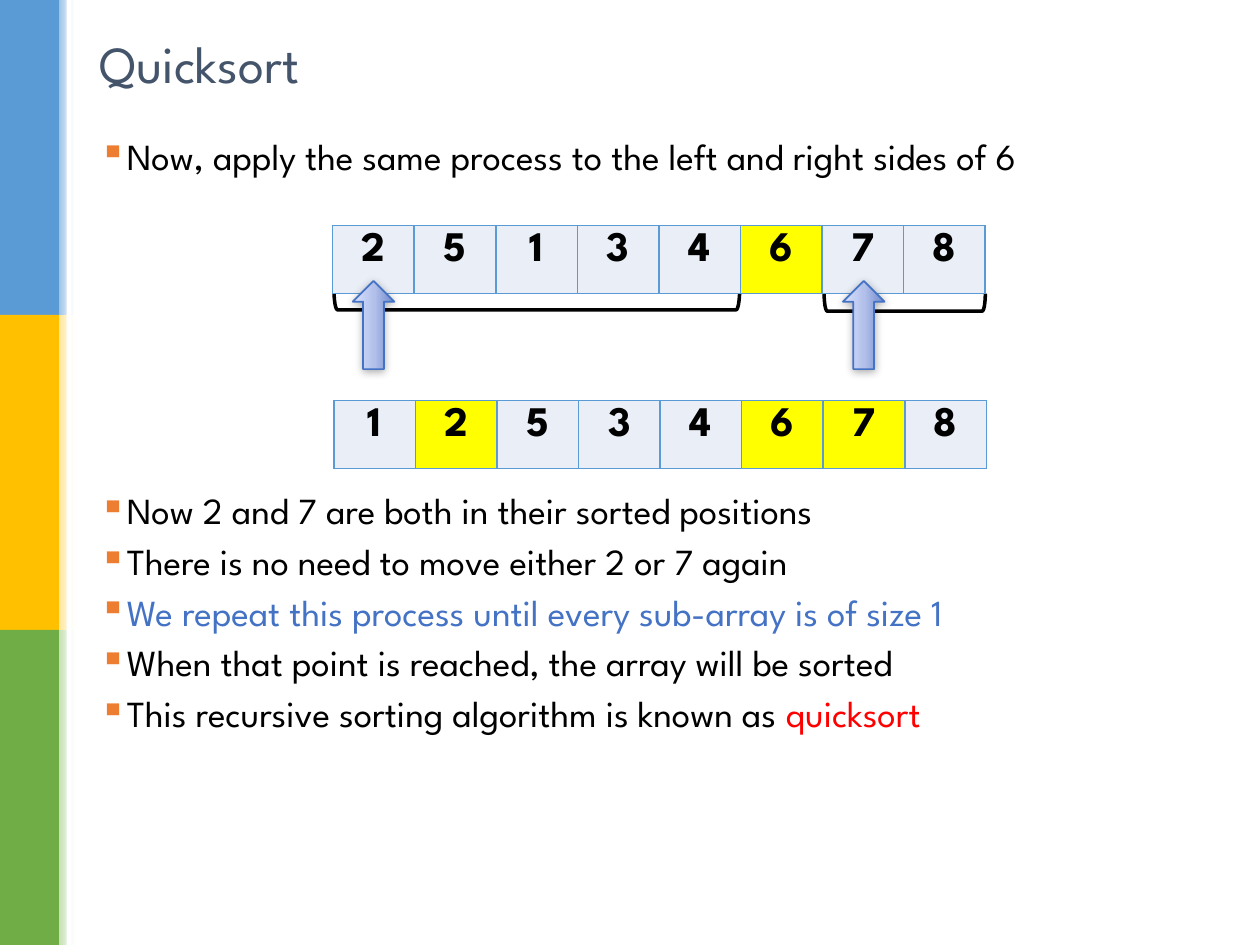
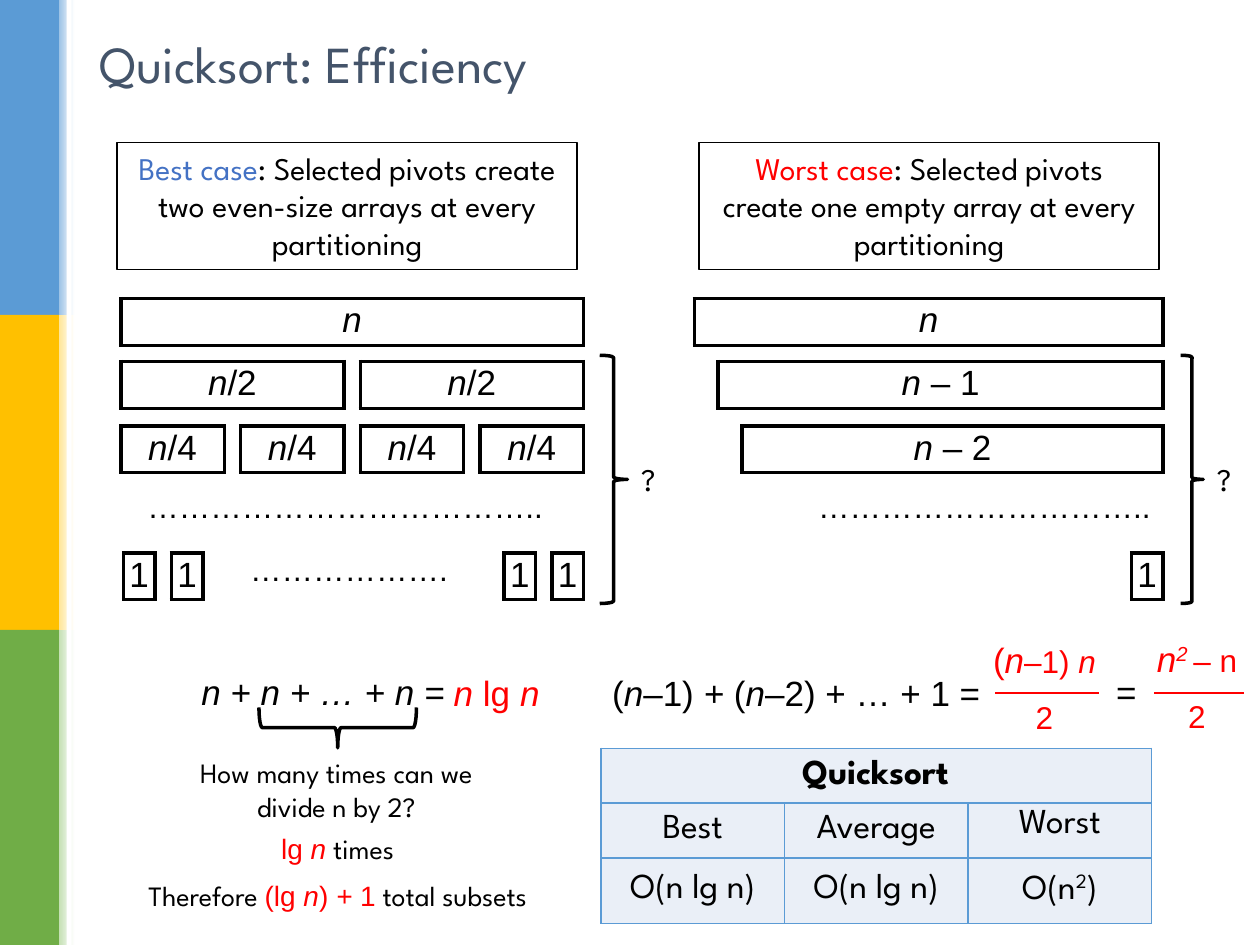
from copy import deepcopy
from lxml.etree import SubElement
from pptx import Presentation
from pptx.dml.color import RGBColor
from pptx.enum.shapes import MSO_CONNECTOR, MSO_SHAPE
from pptx.enum.text import MSO_ANCHOR, MSO_AUTO_SIZE, PP_ALIGN
from pptx.oxml.ns import qn
from pptx.util import Inches, Pt

# Shared look
SANS, ARIAL = "League Spartan", "Arial"
BLACK = RGBColor(0x00, 0x00, 0x00)
WHITE = RGBColor(0xFF, 0xFF, 0xFF)
RED = RGBColor(0xFF, 0x00, 0x00)
BLUE = RGBColor(0x44, 0x72, 0xC4)
SLATE = RGBColor(0x44, 0x54, 0x6A)
SKY = RGBColor(0x5B, 0x9B, 0xD5)
GOLD = RGBColor(0xFF, 0xC0, 0x00)
GREEN = RGBColor(0x70, 0xAD, 0x47)
PALE = RGBColor(0xEA, 0xEF, 0xF7)
YELLOW = RGBColor(0xFF, 0xFF, 0x00)
BANDS = [(SKY, RGBColor(0x9D, 0xC3, 0xE6)),
         (GOLD, RGBColor(0xFF, 0xE6, 0x99)),
         (GREEN, RGBColor(0xC5, 0xE0, 0xB4))]
SHADES = [RGBColor(0xD8, 0xE1, 0xFE), RGBColor(0xB2, 0xC0, 0xEA),
          RGBColor(0x6D, 0x89, 0xCB)]
LEFT, MID, RIGHT = PP_ALIGN.LEFT, PP_ALIGN.CENTER, PP_ALIGN.RIGHT
TOP, MIDDLE = MSO_ANCHOR.TOP, MSO_ANCHOR.MIDDLE

# Run formats that differ from their paragraph
IT = dict(italic=True)
SMALL = dict(size=18)
HOT = dict(color=RED)
COOL = dict(color=BLUE)
MATH = dict(color=RED, font=ARIAL)
VAR = dict(MATH, italic=True)


def write(frame, *paras, align=LEFT, anchor=TOP, gap=10, **form):
    """Fill a frame; a paragraph is a string or a list of (text, format)."""
    frame.word_wrap = True
    frame.vertical_anchor = anchor
    for num, runs in enumerate(paras):
        para = frame.add_paragraph() if num else frame.paragraphs[0]
        para.alignment = align
        if num:
            para.space_before = Pt(gap)
        for text, extra in [(runs, {})] if isinstance(runs, str) else runs:
            look = dict(font=SANS, size=18, color=BLACK) | form | extra
            run = para.add_run()
            run.text = text
            run.font.name = look["font"]
            run.font.size = Pt(look["size"])
            run.font.color.rgb = look["color"]
            run.font.bold = look.get("bold", False)
            run.font.italic = look.get("italic", False)
            if look.get("up"):
                run._r.get_or_add_rPr().set("baseline", "30000")


def grid(shapes, left, top, width, tall, rows, edge=BLACK, weight=2.25,
         fill=None, pad=None, anchor=TOP, **form):
    """Add a table with equal columns and one kind of border."""
    cols = len(rows[0])
    table = shapes.add_table(len(rows), cols, Inches(left), Inches(top),
                             Inches(width), Inches(sum(tall))).table
    table.first_row = table.horz_banding = False
    for col in table.columns:
        col.width = Inches(width / cols)
    for row, high, texts in zip(table.rows, tall, rows):
        row.height = Inches(high)
        for cell, text in zip(row.cells, texts):
            if pad:
                cell.margin_left = cell.margin_right = Inches(pad)
                cell.margin_top = cell.margin_bottom = Inches(pad)
            if text:
                write(cell.text_frame, text, align=MID, **form)
            cell.vertical_anchor = anchor
            props = cell._tc.get_or_add_tcPr()
            for side in ("a:lnL", "a:lnR", "a:lnT", "a:lnB"):
                line = SubElement(props, qn(side), w=str(Pt(weight)))
                paint = SubElement(line, qn("a:solidFill"))
                SubElement(paint, qn("a:srgbClr"), val=str(edge))
            if fill is None:
                cell.fill.background()
            else:
                cell.fill.solid()
                cell.fill.fore_color.rgb = fill
    return table


deck = Presentation()
deck.slide_width, deck.slide_height = Inches(10), Inches(7.5)

# Side bands and title on every slide
pages = []
for name in ("Quicksort", "Quicksort: Efficiency"):
    page = deck.slides.add_slide(deck.slide_layouts[5])
    pages.append(page.shapes)
    bars = [(0, 2.5 * num, 0.47, 2.5, [full]) for num, (full, _) in enumerate(BANDS)]
    bars += [(0.47, 2.5 * num, 0.12, 2.5, [soft, WHITE])
             for num, (_, soft) in enumerate(BANDS)]
    bars += [(0.53, 0, 0.04, 7.5, [WHITE])]
    for *place, tints in bars:
        bar = page.shapes.add_shape(MSO_SHAPE.RECTANGLE, *map(Inches, place))
        bar.shadow.inherit = False
        bar.line.fill.background()
        if len(tints) == 1:
            bar.fill.solid()
            bar.fill.fore_color.rgb = tints[0]
        else:
            bar.fill.gradient()
            bar.fill.gradient_angle = 0
            for stop, tint in zip(bar.fill.gradient_stops, tints):
                stop.color.rgb = tint
    title = page.shapes.title
    title.left, title.top = Inches(0.69), Inches(0.21)
    title.width, title.height = Inches(8.93), Inches(0.58)
    title.text_frame.auto_size = MSO_AUTO_SIZE.NONE
    write(title.text_frame, name, size=29.7, color=SLATE, anchor=MIDDLE)
steps, costs = pages

# Slide 1: bullets, with room for the arrays after the first
body = steps.add_textbox(Inches(0.69), Inches(1.05), Inches(8.81), Inches(6.03))
write(body.text_frame,
      "Now, apply the same process to the left and right sides of 6",
      "Now 2 and 7 are both in their sorted positions",
      "There is no need to move either 2 or 7 again",
      [("We repeat this process until every sub-array is of size 1", COOL)],
      "When that point is reached, the array will be sorted",
      [("This recursive sorting algorithm is known as ", {}), ("quicksort", HOT)],
      size=21, gap=6.3)
body.text_frame.paragraphs[1].space_before = Pt(180)
for para in body.text_frame.paragraphs:
    para.line_spacing = 0.9
    props = para._p.get_or_add_pPr()
    props.set("marL", str(Inches(0.19)))
    props.set("indent", str(Inches(-0.19)))
    tint = SubElement(props, qn("a:buClr"))
    SubElement(tint, qn("a:srgbClr"), val="ED7D31")
    SubElement(props, qn("a:buChar"), char="▪")

# Slide 1: brackets under the two sides
for place in ((4.18, 0.77, 0.16, 3.22), (7.11, 1.76, 0.14, 1.28)):
    hook = steps.add_shape(MSO_SHAPE.RIGHT_BRACKET, *map(Inches, place))
    hook.rotation = 90
    hook.adjustments[0] = 0.18
    hook.shadow.inherit = False
    hook.fill.background()
    hook.line.color.rgb = BLACK
    hook.line.width = Pt(2)

# Slide 1: arrays, pivots in yellow
for left, top, digits, pivots in ((2.64, 1.79, "25134678", "6"),
                                  (2.65, 3.18, "12534678", "267")):
    array = grid(steps, left, top, 5.18, [0.54], [digits], edge=SKY, weight=1,
                 fill=PALE, size=24, bold=True)
    for digit in pivots:
        array.cell(0, digits.index(digit)).fill.fore_color.rgb = YELLOW

# Slide 1: arrows at the next pivots
for left in (2.8, 6.69):
    arrow = steps.add_shape(MSO_SHAPE.UP_ARROW, Inches(left), Inches(2.23),
                            Inches(0.33), Inches(0.7))
    arrow.line.color.rgb = BLUE
    arrow.line.width = Pt(1)
    arrow.fill.gradient()
    arrow.fill.gradient_angle = 0
    props = arrow.element.spPr
    stops = props.find(".//" + qn("a:gsLst"))
    stops.insert(1, deepcopy(stops[0]))
    for stop, tint, spot in zip(arrow.fill.gradient_stops, SHADES, (0, 0.52, 1)):
        stop.color.rgb = tint
        stop.position = spot
    glow = SubElement(SubElement(props, qn("a:effectLst")), qn("a:outerShdw"),
                      blurRad=str(Pt(5)), dist=str(Pt(1)), dir="5400000")
    tint = SubElement(glow, qn("a:srgbClr"), val="000000")
    SubElement(tint, qn("a:alpha"), val="32000")

# Slide 2: the two cases
for left, head, tone, rest in (
        (0.93, "Best case", COOL,
         ": Selected pivots create two even-size arrays at every partitioning"),
        (5.55, "Worst case", HOT,
         ": Selected pivots create one empty array at every partitioning")):
    case = costs.add_shape(MSO_SHAPE.RECTANGLE, Inches(left), Inches(1.13),
                           Inches(3.65), Inches(1.01))
    case.shadow.inherit = False
    case.fill.background()
    case.line.color.rgb = BLACK
    case.line.width = Pt(1)
    write(case.text_frame, [(head, tone), (rest, {})], align=MID)

# Slide 2: partition boxes, halves on the left and n - k on the right
boxes = []
for num, top in enumerate((2.37, 2.87, 3.38)):
    parts = 2 ** num
    wide = (3.67 - 0.13 * (parts - 1)) / parts
    half = [("n", IT)] + ([(f"/{parts}", {})] if num else [])
    less = [("n ", IT), (f"– {num}", {})] if num else [("n", IT)]
    boxes += [(0.96 + part * (wide + 0.13), top, wide, half) for part in range(parts)]
    boxes += [(5.51 + 0.19 * num, top, 3.72 - 0.19 * num, less)]
boxes += [(left, 4.39, 0.25, "1") for left in (0.98, 1.36, 4, 4.38, 8.98)]
for left, top, wide, text in boxes:
    grid(costs, left, top, wide, [0.37], [[text]], pad=0.02, size=20, font=ARIAL)

# Slide 2: braces
for *place, turn in ((4.76, 2.82, 0.22, 1.97, 0), (9.37, 2.82, 0.18, 1.97, 0),
                     (2.52, 5.15, 0.32, 1.25, 90)):
    brace = costs.add_shape(MSO_SHAPE.RIGHT_BRACE, *map(Inches, place))
    brace.rotation = turn
    brace.shadow.inherit = False
    brace.fill.background()
    brace.line.color.rgb = BLACK
    brace.line.width = Pt(2)

# Slide 2: dots, sums and remarks
dots = dict(font=ARIAL, align=MID)
sums = dict(font=ARIAL, size=20)
frac = dict(sums, color=RED, align=MID)
note = dict(size=16, align=MID)
for *place, paras, form in (
        (1.73, 4.32, 2.08, 0.4, ["………………."], dots),
        (0.85, 3.82, 3.78, 0.4, ["…" * 12 + ".."], dots),
        (6.14, 3.82, 3.09, 0.4, ["…" * 10 + ".."], dict(dots, align=RIGHT)),
        (4.99, 3.6, 0.29, 0.4, ["?"], dict(align=MID)),
        (9.56, 3.6, 0.29, 0.4, ["?"], dict(align=MID)),
        (1.36, 5.27, 2.27, 0.44, [[("n + n + … + n =", IT)]], dict(sums, align=RIGHT)),
        (3.5, 5.28, 0.88, 0.44, [[("n ", IT), ("lg ", {}), ("n", IT)]],
         dict(frac, align=RIGHT)),
        (4.76, 5.28, 4.09, 0.43,
         [[("(", {}), ("n", IT), ("–1) ", {}), ("+", IT), (" (", {}), ("n", IT),
           ("–2) + … + 1 =", {})]], sums),
        (7.76, 5.02, 1.06, 0.89,
         [[("(", {}), ("n", IT), ("–1) ", SMALL), ("n", dict(IT, size=18))],
          [("2", SMALL)]], frac),
        (8.76, 5.27, 0.36, 0.43, ["="], sums),
        (9.06, 5.01, 0.88, 0.89,
         [[("n", IT), ("2 ", dict(IT, up=True)), ("– n", SMALL)], [("2", SMALL)]], frac),
        (1.26, 5.95, 2.82, 0.64, ["How many times can we divide n by 2?"], note),
        (1.75, 6.55, 1.86, 0.37, [[("lg ", MATH), ("n", VAR), (" times", {})]], note),
        (0.86, 6.92, 3.64, 0.37,
         [[("Therefore ", {}), ("(lg ", MATH), ("n", VAR), (") ", MATH), ("+", VAR),
           (" 1", MATH), (" total subsets", {})]], note)):
    area = costs.add_textbox(*map(Inches, place))
    write(area.text_frame, *paras, **form)

# Slide 2: fraction bars
for start, end in ((7.9, 8.72), (9.16, 9.87)):
    rule = costs.add_connector(MSO_CONNECTOR.STRAIGHT, Inches(start), Inches(5.5),
                               Inches(end), Inches(5.5))
    rule.line.color.rgb = RED
    rule.line.width = Pt(1.5)
    SubElement(rule.element.spPr, qn("a:effectLst"))

# Slide 2: summary table
table = grid(costs, 4.77, 5.94, 4.37, [0.43, 0.43, 0.52],
             [[[("Quicksort", dict(bold=True))], "", ""],
              ["Best", "Average", "Worst"],
              ["O(n lg n)", "O(n lg n)",
               [("O(n", {}), ("2", dict(up=True)), (")", {})]]],
             edge=SKY, weight=1, fill=PALE, anchor=MIDDLE, size=20)
table.cell(0, 0).merge(table.cell(0, 2))
table.cell(1, 2).vertical_anchor = TOP

deck.save("out.pptx")
